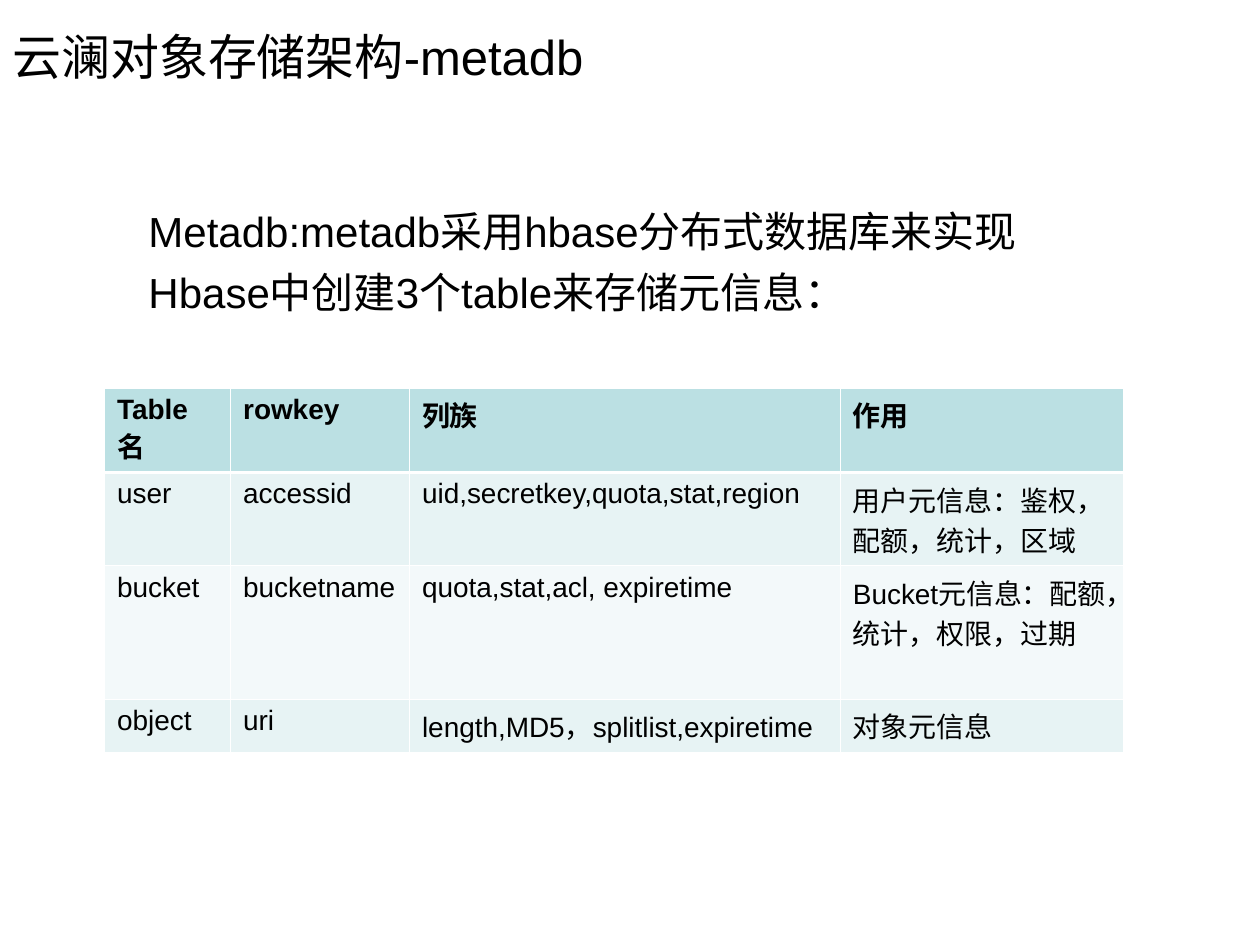
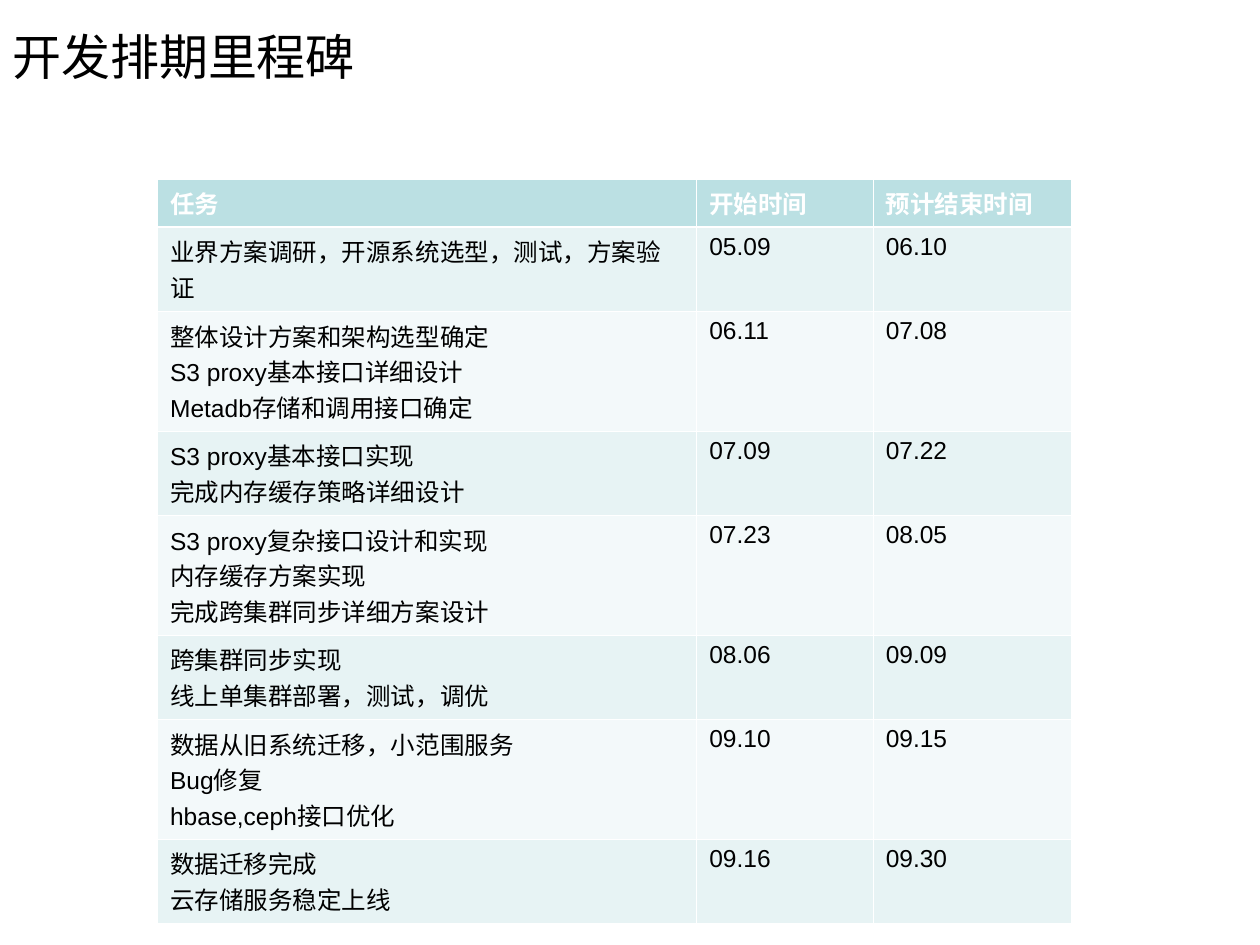
from lxml.etree import SubElement
from pptx import Presentation
from pptx.dml.color import RGBColor
from pptx.enum.text import MSO_ANCHOR
from pptx.oxml.ns import qn
from pptx.util import Inches, Pt

BLACK = RGBColor(0x00, 0x00, 0x00)
WHITE = RGBColor(0xFF, 0xFF, 0xFF)
HEADER = RGBColor(0xBB, 0xE0, 0xE3)
BANDS = (RGBColor(0xE7, 0xF3, 0xF4), RGBColor(0xF3, 0xF9, 0xFA))
FONT = "Arial"
THIN, THICK = 0.45, 1.47

META_ROWS = [
    ("Table 名", "rowkey", "列族", "作用"),
    ("user", "accessid", "uid,secretkey,quota,stat,region",
     "用户元信息：鉴权，配额，统计，区域"),
    ("bucket", "bucketname", "quota,stat,acl, expiretime",
     "Bucket元信息：配额，统计，权限，过期"),
    ("object", "uri", "length,MD5，splitlist,expiretime", "对象元信息"),
]

MILESTONE_ROWS = [
    ("任务", "开始时间", "预计结束时间"),
    ("业界方案调研，开源系统选型，测试，方案验证", "05.09", "06.10"),
    ("整体设计方案和架构选型确定\nS3 proxy基本接口详细设计\nMetadb存储和调用接口确定",
     "06.11", "07.08"),
    ("S3 proxy基本接口实现\n完成内存缓存策略详细设计", "07.09", "07.22"),
    ("S3 proxy复杂接口设计和实现\n内存缓存方案实现\n完成跨集群同步详细方案设计",
     "07.23", "08.05"),
    ("跨集群同步实现\n线上单集群部署，测试，调优", "08.06", "09.09"),
    ("数据从旧系统迁移，小范围服务\nBug修复\nhbase,ceph接口优化", "09.10", "09.15"),
    ("数据迁移完成\n云存储服务稳定上线", "09.16", "09.30"),
]


def write_text(tf, text, size, color=BLACK, bold=False, before=0):
    tf.word_wrap = True
    for i, line in enumerate(text.split("\n")):
        p = tf.paragraphs[0] if i == 0 else tf.add_paragraph()
        if i:
            p.space_before = Pt(before)
        r = p.add_run()
        r.text = line
        r.font.name = FONT
        r.font.size = Pt(size)
        r.font.bold = bold
        r.font.color.rgb = color


def add_text(s, box, text, size, anchor=MSO_ANCHOR.TOP, **fmt):
    tf = s.shapes.add_textbox(*map(Inches, box)).text_frame
    tf.vertical_anchor = anchor
    write_text(tf, text, size, **fmt)


def add_title(s, text):
    add_text(s, (0, 0.22, 5.33, 0.45), text, 28, anchor=MSO_ANCHOR.MIDDLE)


def set_borders(cell, **widths):
    props = cell._tc.get_or_add_tcPr()
    for i, side in enumerate("LRTB"):
        line = SubElement(props, qn(f"a:ln{side}"),
                          w=str(Pt(widths.get(side, THIN))))
        fill = SubElement(line, qn("a:solidFill"))
        SubElement(fill, qn("a:srgbClr"), val=str(WHITE))
        props.insert(i, line)


def add_grid(s, left, top, cols, heights, rows, size, header_color):
    frame = s.shapes.add_table(len(rows), len(cols), Inches(left), Inches(top),
                               Inches(sum(cols)), Inches(sum(heights)))
    table = frame.table
    for column, width in zip(table.columns, cols):
        column.width = Inches(width)
    for i, (values, height) in enumerate(zip(rows, heights)):
        table.rows[i].height = Inches(height)
        is_header = i == 0
        edges = {0: {"B": THICK}, 1: {"T": THICK}}.get(i, {})
        for j, value in enumerate(values):
            cell = table.cell(i, j)
            cell.fill.solid()
            cell.fill.fore_color.rgb = HEADER if is_header else BANDS[(i - 1) % 2]
            set_borders(cell, **edges)
            write_text(cell.text_frame, value, size, bold=is_header,
                       color=header_color if is_header else BLACK)


def metadb_slide(s):
    add_text(s, (1.08, 1.58, 7.75, 1.08),
             "Metadb:metadb采用hbase分布式数据库来实现\n"
             "Hbase中创建3个table来存储元信息：",
             24, before=6)
    add_title(s, "云澜对象存储架构-metadb")
    add_grid(s, 0.83, 3.08, (1, 1.42, 3.42, 2.25), (0.67, 0.74, 1.06, 0.42),
             META_ROWS, 16, BLACK)


def milestone_slide(s):
    add_title(s, "开发排期里程碑")
    heights = [0.38] + [0.95 if row[0].count("\n") == 2 else 0.67
                        for row in MILESTONE_ROWS[1:]]
    add_grid(s, 1.25, 1.42, (4.28, 1.4, 1.57), heights, MILESTONE_ROWS, 14, WHITE)


def main():
    prs = Presentation()
    prs.slide_width, prs.slide_height = Inches(10), Inches(7.5)
    for build in (metadb_slide, milestone_slide):
        build(prs.slides.add_slide(prs.slide_layouts[6]))
    prs.save("out.pptx")


if __name__ == "__main__":
    main()
